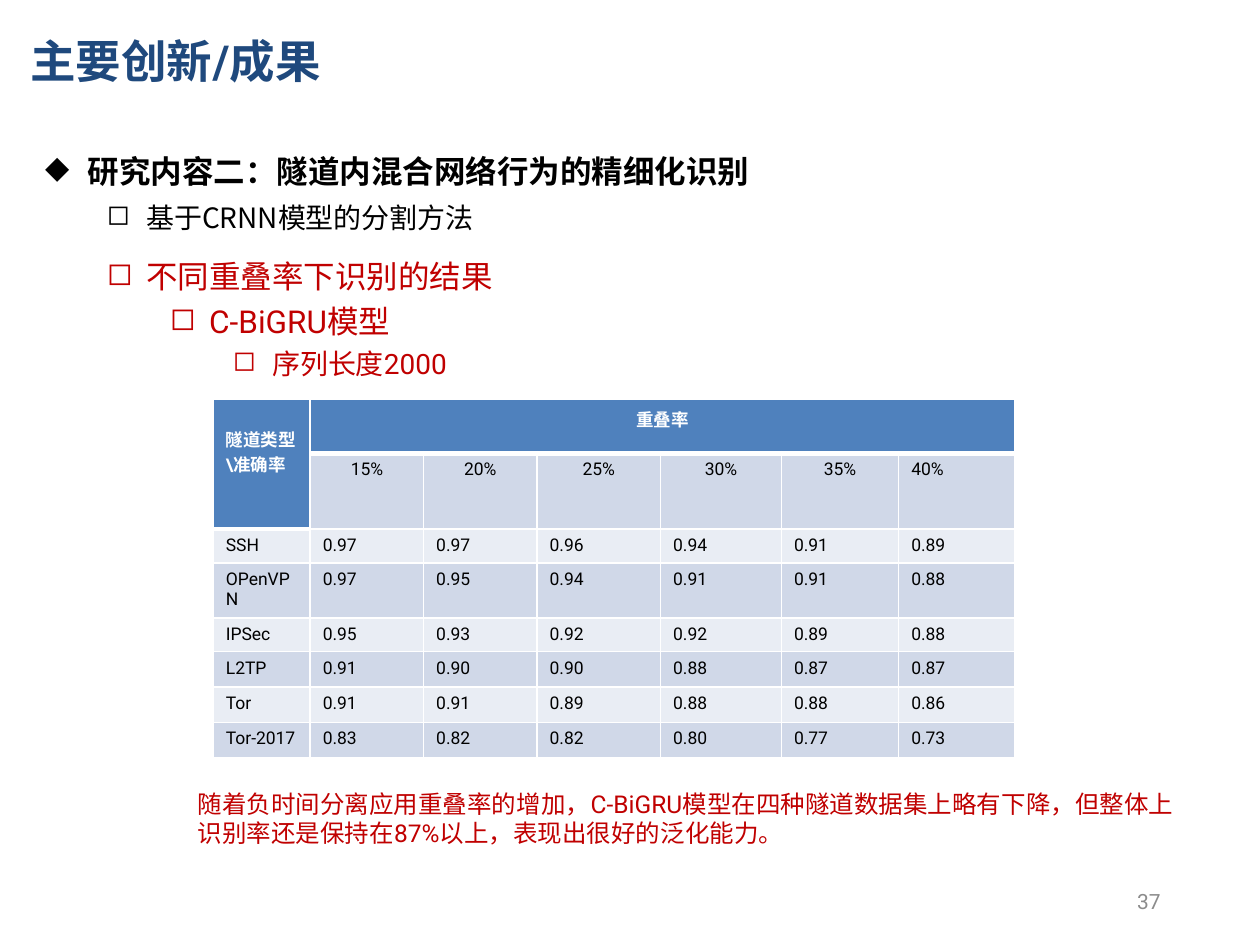
from lxml import etree
from pptx import Presentation
from pptx.dml.color import RGBColor
from pptx.enum import text
from pptx.oxml.ns import qn
from pptx.util import Pt

NAVY, RED, BLACK, GREY, WHITE = "1F497D", "C00000", "000000", "8C8C8C", "FFFFFF"
HEADER, DARK_BAND, LIGHT_BAND = "4F81BD", "D0D8E8", "E9EDF4"
LEFT, CENTER, RIGHT = (text.PP_ALIGN.LEFT, text.PP_ALIGN.CENTER,
                       text.PP_ALIGN.RIGHT)
MIDDLE = text.MSO_ANCHOR.MIDDLE
RATES = ["15%", "20%", "25%", "30%", "35%", "40%"]
ACCURACY = [
    ("SSH", 0.97, 0.97, 0.96, 0.94, 0.91, 0.89),
    ("OPenVPN", 0.97, 0.95, 0.94, 0.91, 0.91, 0.88),
    ("IPSec", 0.95, 0.93, 0.92, 0.92, 0.89, 0.88),
    ("L2TP", 0.91, 0.90, 0.90, 0.88, 0.87, 0.87),
    ("Tor", 0.91, 0.91, 0.89, 0.88, 0.88, 0.86),
    ("Tor-2017", 0.83, 0.82, 0.82, 0.80, 0.77, 0.73),
]
COL_WIDTHS = [55.4, 64.8, 64.8, 70.6, 69.1, 67, 66.2]
ROW_HEIGHTS = [30.6, 43.4] + [19.4] * 3 + [20.2] * 3


def color(value):
    return RGBColor.from_string(value)


def set_all(target, **values):
    for name, value in values.items():
        setattr(target, name, value)


def write(p, words, size, fill, name="Roboto", bold=False, **layout):
    set_all(p, **layout)
    r = p.add_run()
    r.text = words
    set_all(r.font, size=Pt(size), name=name, bold=bold)
    r.font.color.rgb = color(fill)


def add_bullet(p, char, left, hang):
    pPr = p._p.get_or_add_pPr()
    pPr.set("marL", str(Pt(left)))
    pPr.set("indent", str(-Pt(hang)))
    etree.SubElement(pPr, qn("a:buChar"), char=char)


def add_box(s, box, wrap=True):
    tf = s.shapes.add_textbox(*map(Pt, box)).text_frame
    tf.word_wrap = wrap
    return tf


def add_title(s, box):
    sp = s.shapes.title
    set_all(sp, **dict(zip(("left", "top", "width", "height"), map(Pt, box))))
    sp.text_frame.vertical_anchor = MIDDLE
    write(sp.text_frame.paragraphs[0], "主要创新/成果", 26, NAVY, bold=True,
          alignment=LEFT)


def add_outline(s, box):
    """Heading, method line and the nested result points."""
    left, top, width, height = box
    p = add_box(s, (left, top, width, 34.6)).paragraphs[0]
    add_bullet(p, "◆", 20.2, 20.2)
    write(p, " 研究内容二：隧道内混合网络行为的精细化识别", 18, BLACK,
          "Times New Roman", True, line_spacing=1.3)

    p = add_box(s, (left + 35.3, top + 33.8, 555.8, 26.6)).paragraphs[0]
    add_bullet(p, "◻", 22.5, 22.5)
    write(p, "基于CRNN模型的分割方法", 16, BLACK, "Noto Sans CJK SC")

    tf = add_box(s, (left + 35.3, top + 66.3, 234.7, height - 66.3), False)
    points = [("不同重叠率下识别的结果", 18, 0), ("C-BiGRU模型", 18, 4),
              ("序列长度2000", 16, 0)]
    for level, (words, size, gap) in enumerate(points):
        p = tf.add_paragraph() if level else tf.paragraphs[0]
        add_bullet(p, "◻", 22.5 + 36 * level, 22.5)
        write(p, words, size, RED, level=level, space_before=Pt(gap),
              space_after=Pt(gap))


def add_borders(cell, bottom):
    tcPr = cell._tc.get_or_add_tcPr()
    for i, (side, width) in enumerate(
            [("lnL", 1), ("lnR", 1), ("lnT", 1), ("lnB", bottom)]):
        ln = etree.Element(qn("a:" + side), w=str(Pt(width)))
        fill = etree.SubElement(ln, qn("a:solidFill"))
        etree.SubElement(fill, qn("a:srgbClr"), val=WHITE)
        tcPr.insert(i, ln)


def add_accuracy_table(s, left, top):
    rows = [["隧道类型\\准确率", "重叠率"] + [""] * 5, [""] + RATES]
    rows += [[name] + [f"{v:.2f}" for v in values] for name, *values in ACCURACY]
    table = s.shapes.add_table(
        len(rows), len(COL_WIDTHS), Pt(left), Pt(top),
        Pt(sum(COL_WIDTHS)), Pt(sum(ROW_HEIGHTS))).table
    for col, width in zip(table.columns, COL_WIDTHS):
        col.width = Pt(width)
    for row, height in zip(table.rows, ROW_HEIGHTS):
        row.height = Pt(height)
    table.cell(0, 0).merge(table.cell(1, 0))
    table.cell(0, 1).merge(table.cell(0, 6))

    for i, row in enumerate(rows):
        for j, words in enumerate(row):
            cell = table.cell(i, j)
            head = i == 0 or (i == 1 and j == 0)
            cell.fill.solid()
            cell.fill.fore_color.rgb = color(
                HEADER if head else DARK_BAND if i % 2 else LIGHT_BAND)
            add_borders(cell, 3 if head else 1)
            if words:
                centered = (i == 0 and j) or (i == 1 and j < 6)
                write(cell.text_frame.paragraphs[0], words, 10,
                      WHITE if head else BLACK, bold=head,
                      alignment=CENTER if centered else LEFT)
    table.cell(0, 0).margin_top = Pt(15.3)


def add_conclusion(s, box):
    write(add_box(s, box).paragraphs[0],
          "随着负时间分离应用重叠率的增加，C-BiGRU模型在四种隧道数据集上略有下降，"
          "但整体上识别率还是保持在87%以上，表现出很好的泛化能力。", 14, RED)


def add_page_number(s, box):
    tf = add_box(s, box)
    tf.vertical_anchor = MIDDLE
    write(tf.paragraphs[0], "37", 12, GREY, alignment=RIGHT)


def main():
    prs = Presentation()
    set_all(prs, slide_width=Pt(720), slide_height=Pt(540))
    s = prs.slides.add_slide(prs.slide_layouts[5])
    add_title(s, (10.1, 11.5, 549.4, 46.1))
    add_page_number(s, (508.3, 500.4, 162, 28.8))
    add_outline(s, (18.7, 77, 663.8, 144.8))
    add_accuracy_table(s, 121.9, 228.4)
    add_conclusion(s, (105.8, 447.1, 580.3, 41))
    prs.save("out.pptx")


if __name__ == "__main__":
    main()
